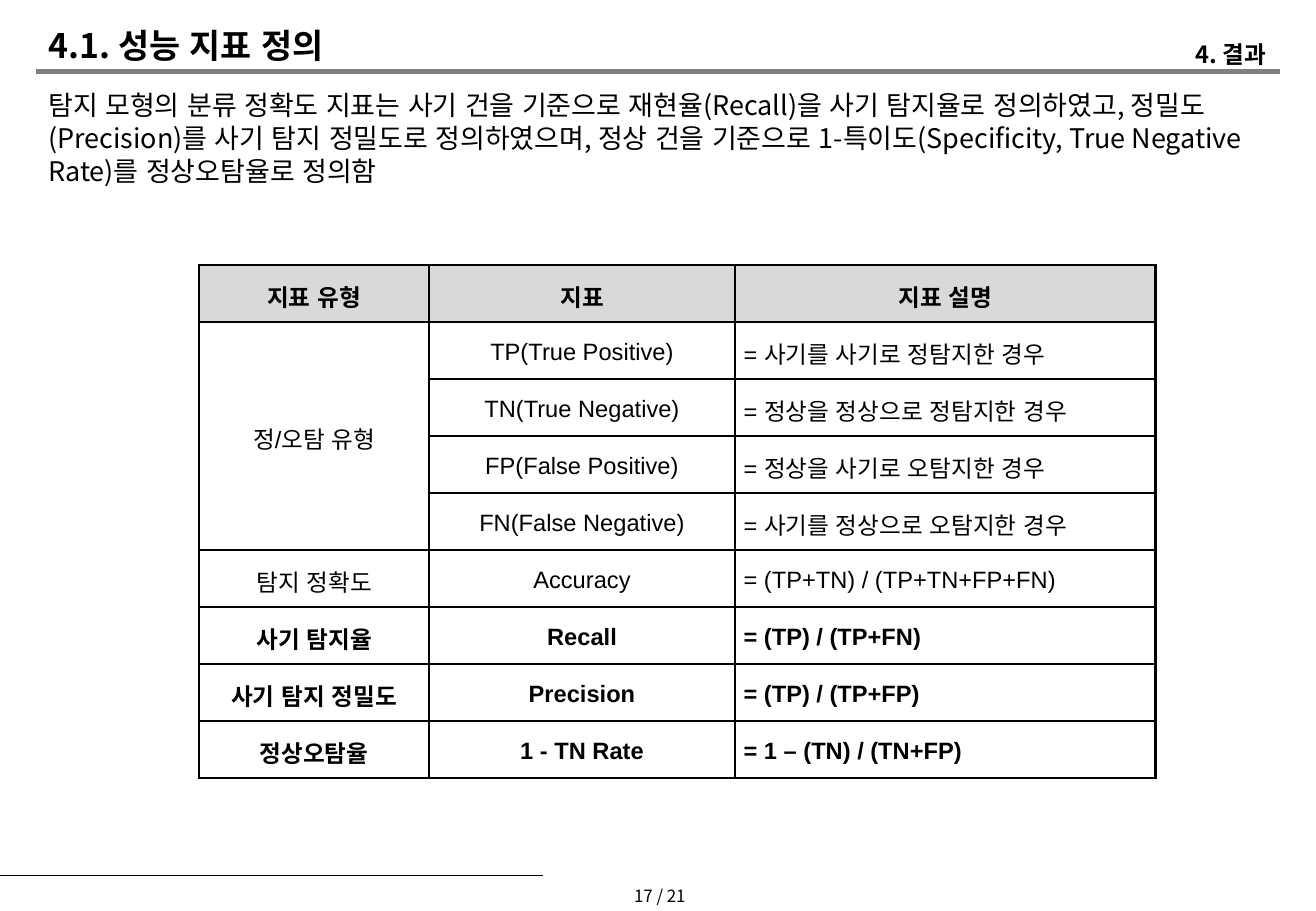
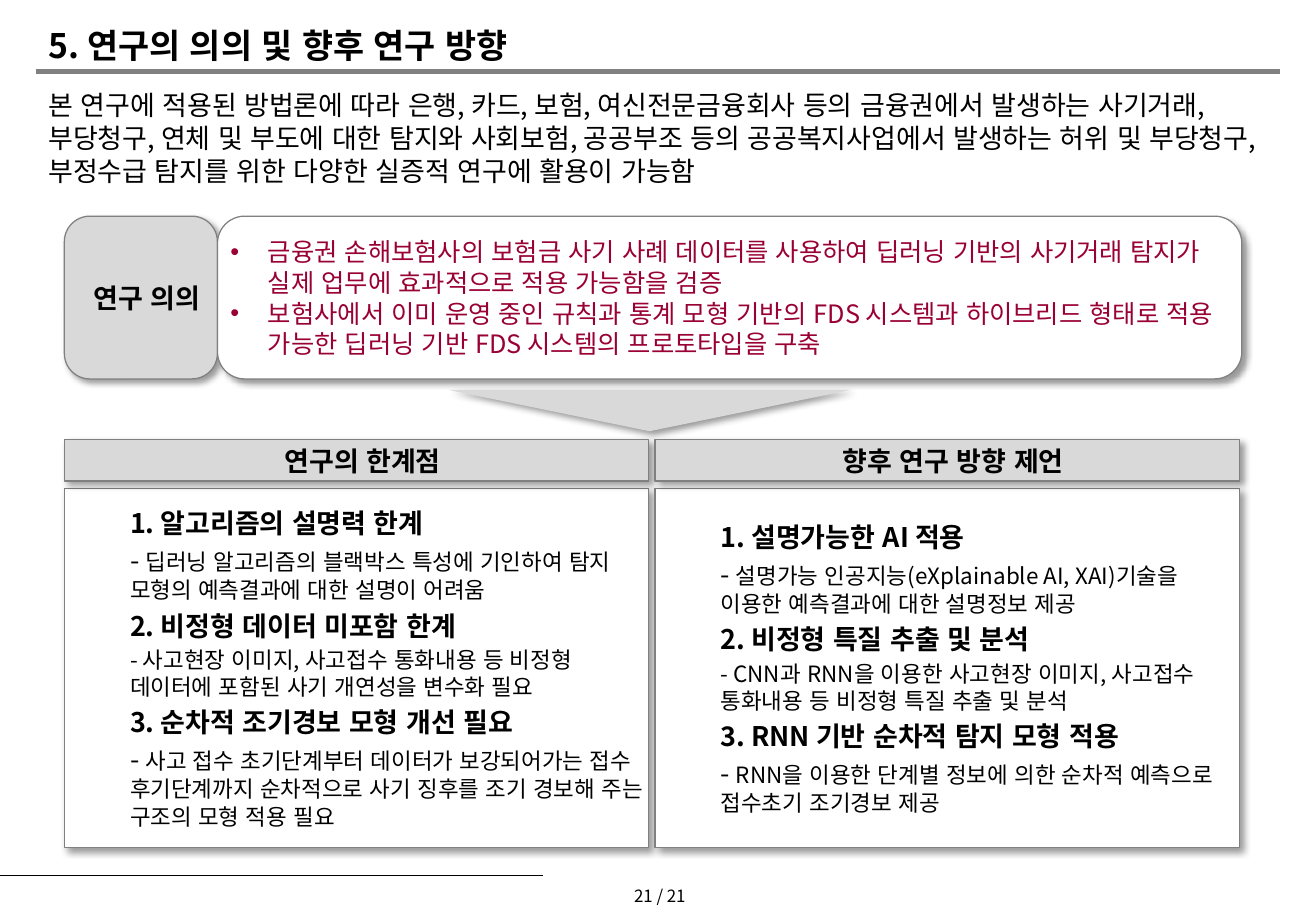
from lxml import etree
from pptx import Presentation
from pptx.dml.color import RGBColor
from pptx.enum.lang import MSO_LANGUAGE_ID as Lang
from pptx.enum.shapes import MSO_CONNECTOR, MSO_SHAPE as Shape
from pptx.enum.text import MSO_ANCHOR as Anchor, MSO_AUTO_SIZE as AutoSize, PP_ALIGN as Align
from pptx.oxml.ns import qn
from pptx.util import Pt

PX = 9144  # 100 px to the inch
BLACK = RGBColor(0x00, 0x00, 0x00)
WHITE = RGBColor(0xFF, 0xFF, 0xFF)
GRAY = RGBColor(0x80, 0x80, 0x80)
LIGHT = RGBColor(0xD9, 0xD9, 0xD9)
WINE = RGBColor(0x99, 0x00, 0x33)
FONT = "Noto Sans CJK KR"
TABLE_FONT = "Arial"
LEADING = 1.21
PAGES = 21
TITLE_ONLY = 5

METRICS = [
    ("지표 유형", "지표", "지표 설명"),
    ("정/오탐 유형", "TP(True Positive)", "= 사기를 사기로 정탐지한 경우"),
    ("", "TN(True Negative)", "= 정상을 정상으로 정탐지한 경우"),
    ("", "FP(False Positive)", "= 정상을 사기로 오탐지한 경우"),
    ("", "FN(False Negative)", "= 사기를 정상으로 오탐지한 경우"),
    ("탐지 정확도", "Accuracy", "= (TP+TN) / (TP+TN+FP+FN)"),
    ("사기 탐지율", "Recall", "= (TP) / (TP+FN)"),
    ("사기 탐지 정밀도", "Precision", "= (TP) / (TP+FP)"),
    ("정상오탐율", "1 - TN Rate", "= 1 – (TN) / (TN+FP)"),
]
BOLD_ROWS = (0, 6, 7, 8)

FINDINGS = [
    "금융권 손해보험사의 보험금 사기 사례 데이터를 사용하여 딥러닝 기반의 사기거래 탐지가 "
    "실제 업무에 효과적으로 적용 가능함을 검증",
    "보험사에서 이미 운영 중인 규칙과 통계 모형 기반의 FDS 시스템과 하이브리드 형태로 적용 "
    "가능한 딥러닝 기반 FDS 시스템의 프로토타입을 구축",
]

# Each point: heading, size of its dash, detail
COLUMNS = [
    ("연구의 한계점", [
        ("1. 알고리즘의 설명력 한계", 16,
         "딥러닝 알고리즘의 블랙박스 특성에 기인하여 탐지 모형의 예측결과에 대한 설명이 어려움"),
        ("2. 비정형 데이터 미포함 한계", 13.3,
         "사고현장 이미지, 사고접수 통화내용 등 비정형 데이터에 포함된 사기 개연성을 변수화 필요"),
        ("3. 순차적 조기경보 모형 개선 필요", 16,
         "사고 접수 초기단계부터 데이터가 보강되어가는 접수 후기단계까지 순차적으로 "
         "사기 징후를 조기 경보해 주는 구조의 모형 적용 필요"),
    ]),
    ("향후 연구 방향 제언", [
        ("1. 설명가능한 AI 적용", 16,
         "설명가능 인공지능(eXplainable AI, XAI)기술을 이용한 예측결과에 대한 설명정보 제공"),
        ("2. 비정형 특질 추출 및 분석", 13.3,
         "CNN과 RNN을 이용한 사고현장 이미지, 사고접수 통화내용 등 비정형 특질 추출 및 분석"),
        ("3. RNN 기반 순차적 탐지 모형 적용", 16,
         "RNN을 이용한 단계별 정보에 의한 순차적 예측으로 접수초기 조기경보 제공"),
    ]),
]


def px(*lengths):
    return [length * PX for length in lengths]


def add_run(paragraph, text, size, bold=False, color=BLACK, font=FONT):
    run = paragraph.add_run()
    run.text = text
    run.font.size = Pt(size)
    run.font.bold = bold
    run.font.color.rgb = color
    run.font.name = font
    run.font.language_id = Lang.KOREAN
    etree.SubElement(run.font._element, qn("a:ea"), typeface=FONT)


def format_paragraph(paragraph, size, align=Align.LEFT, before=0, indent=0, hanging=0):
    """Set the paragraph; a hanging indent also gets a bullet."""
    paragraph.alignment = align
    paragraph.line_spacing = Pt(size * LEADING)
    paragraph.space_before = Pt(before)
    properties = paragraph._p.get_or_add_pPr()
    properties.set("marL", str(indent * PX))
    properties.set("indent", str(-hanging * PX))
    if hanging:
        etree.SubElement(properties, qn("a:buFont"), typeface="Arial")
        etree.SubElement(properties, qn("a:buChar"), char="•")


def next_paragraph(frame):
    first = frame.paragraphs[0]
    return frame.add_paragraph() if first.runs else first


def add_line_of_text(frame, text, size, bold=False, color=BLACK, **layout):
    paragraph = next_paragraph(frame)
    format_paragraph(paragraph, size, **layout)
    add_run(paragraph, text, size, bold, color)


def add_text(slide, box, text, size, bold=False, align=Align.LEFT, wrap=True):
    frame = slide.shapes.add_textbox(*px(*box)).text_frame
    frame.word_wrap = wrap
    add_line_of_text(frame, text, size, bold, align=align)


def add_rule(slide, x1, x2, y, color, width):
    rule = slide.shapes.add_connector(MSO_CONNECTOR.STRAIGHT, *px(x1, y, x2, y))
    rule.line.color.rgb = color
    rule.line.width = Pt(width)
    etree.SubElement(rule._element.spPr, qn("a:effectLst"))


def add_block(slide, kind, box, fill, outlined=True):
    """Add a shape with a soft shadow and return it."""
    block = slide.shapes.add_shape(kind, *px(*box))
    block.fill.solid()
    block.fill.fore_color.rgb = fill
    if outlined:
        block.line.color.rgb = GRAY
        block.line.width = Pt(0.75)
    else:
        block.line.fill.background()
    block.shadow.inherit = False
    effects = block._element.spPr.find(qn("a:effectLst"))
    shadow = etree.SubElement(effects, qn("a:outerShdw"), blurRad=str(Pt(4)),
                              dist=str(Pt(3)), dir="2700000", algn="tl", rotWithShape="0")
    tone = etree.SubElement(shadow, qn("a:srgbClr"), val=str(BLACK))
    etree.SubElement(tone, qn("a:alpha"), val="40000")
    frame = block.text_frame
    frame.word_wrap = True
    frame.vertical_anchor = Anchor.MIDDLE
    frame.margin_left = frame.margin_top = frame.margin_right = frame.margin_bottom = 4 * PX
    return block


def add_label(slide, kind, box, text):
    frame = add_block(slide, kind, box, LIGHT).text_frame
    add_line_of_text(frame, text, 16, True, align=Align.CENTER, indent=10)


def add_page(prs, title, title_width, summary, number):
    """Add a slide with the shared rules, title, summary and page number."""
    slide = prs.slides.add_slide(prs.slide_layouts[TITLE_ONLY])
    add_rule(slide, 30, 1053, 59, GRAY, 3)
    add_rule(slide, 0, 447, 721, BLACK, 0.75)
    add_text(slide, (505, 724, 73, 27), f" {number} / {PAGES}", 10,
             align=Align.CENTER, wrap=False)
    heading = slide.shapes.title
    heading.left, heading.top, heading.width, heading.height = px(30, 18, title_width, 37)
    frame = heading.text_frame
    frame.auto_size = AutoSize.NONE
    frame.vertical_anchor = Anchor.MIDDLE
    add_line_of_text(frame, title, 20, True)
    add_text(slide, (30, 68, 1023, 71), summary, 16)
    return slide


def add_borders(cell, widths):
    properties = cell._tc.get_or_add_tcPr()
    for side, width in zip("LRTB", widths):
        border = etree.SubElement(properties, qn(f"a:ln{side}"), w=str(Pt(width)))
        fill = etree.SubElement(border, qn("a:solidFill"))
        etree.SubElement(fill, qn("a:srgbClr"), val=str(BLACK))


def add_metric_table(slide):
    widths, row_height = px(189, 252, 346), 47 * PX
    last_row, last_column = len(METRICS) - 1, len(widths) - 1
    table = slide.shapes.add_table(len(METRICS), len(widths), *px(164, 218, 787, 423)).table
    table.first_row = table.horz_banding = False
    for column, width in zip(table.columns, widths):
        column.width = width
    for r, texts in enumerate(METRICS):
        table.rows[r].height = row_height
        for c, text in enumerate(texts):
            cell = table.cell(r, c)
            edges = (c == 0, c == last_column, r == 0, r == last_row)
            add_borders(cell, [1.5 if outer else 1 for outer in edges])
            if r == 0:
                cell.fill.solid()
                cell.fill.fore_color.rgb = LIGHT
            else:
                cell.fill.background()
            cell.vertical_anchor = Anchor.MIDDLE
            cell.margin_left = cell.margin_right = 7 * PX
            cell.margin_top = cell.margin_bottom = 0
            paragraph = cell.text_frame.paragraphs[0]
            described = r > 0 and c == last_column
            paragraph.alignment = Align.JUSTIFY if described else Align.CENTER
            paragraph.line_spacing = 1.15
            if text:
                add_run(paragraph, text, 14, r in BOLD_ROWS, font=TABLE_FONT)
    table.cell(1, 0).merge(table.cell(4, 0))


def add_points(slide, box, points):
    frame = add_block(slide, Shape.RECTANGLE, box, WHITE).text_frame
    for heading, dash_size, detail in points:
        add_line_of_text(frame, heading, 16, True, before=3.2, indent=50)
        paragraph = next_paragraph(frame)
        taller_dash = (dash_size - 13.3) * LEADING
        format_paragraph(paragraph, 13.3, before=2.6 + taller_dash, indent=50)
        add_run(paragraph, "- ", dash_size)
        add_run(paragraph, detail, 13.3)


def add_findings(slide):
    add_label(slide, Shape.ROUNDED_RECTANGLE, (53, 178, 126, 134), "연구 의의")
    frame = add_block(slide, Shape.ROUNDED_RECTANGLE, (179, 178, 843, 134), WHITE).text_frame
    for finding in FINDINGS:
        add_line_of_text(frame, finding, 15, color=WINE, indent=31, hanging=31)


def main():
    prs = Presentation()
    prs.slide_width, prs.slide_height = px(1083, 750)

    metrics = add_page(
        prs, "4.1. 성능 지표 정의", 434,
        "탐지 모형의 분류 정확도 지표는 사기 건을 기준으로 재현율(Recall)을 사기 탐지율로 "
        "정의하였고, 정밀도(Precision)를 사기 탐지 정밀도로 정의하였으며, 정상 건을 기준으로 "
        "1-특이도(Specificity, True Negative Rate)를 정상오탐율로 정의함", 17)
    add_text(metrics, (690, 28, 362, 28), "4. 결과", 14, True, Align.RIGHT)
    add_metric_table(metrics)

    outlook = add_page(
        prs, "5. 연구의 의의 및 향후 연구 방향", 472,
        "본 연구에 적용된 방법론에 따라 은행, 카드, 보험, 여신전문금융회사 등의 금융권에서 "
        "발생하는 사기거래, 부당청구, 연체 및 부도에 대한 탐지와 사회보험, 공공부조 등의 "
        "공공복지사업에서 발생하는 허위 및 부당청구, 부정수급 탐지를 위한 다양한 실증적 연구에 "
        "활용이 가능함", 21)
    add_findings(outlook)
    add_block(outlook, Shape.ISOSCELES_TRIANGLE, (369, 321, 331, 34), LIGHT, False).rotation = 180
    for i, (label, points) in enumerate(COLUMNS):
        left = 53 + i * 486
        add_points(outlook, (left, 402, 481, 296), points)
        add_label(outlook, Shape.RECTANGLE, (left, 362, 481, 34), label)

    prs.save("out.pptx")


if __name__ == "__main__":
    main()
